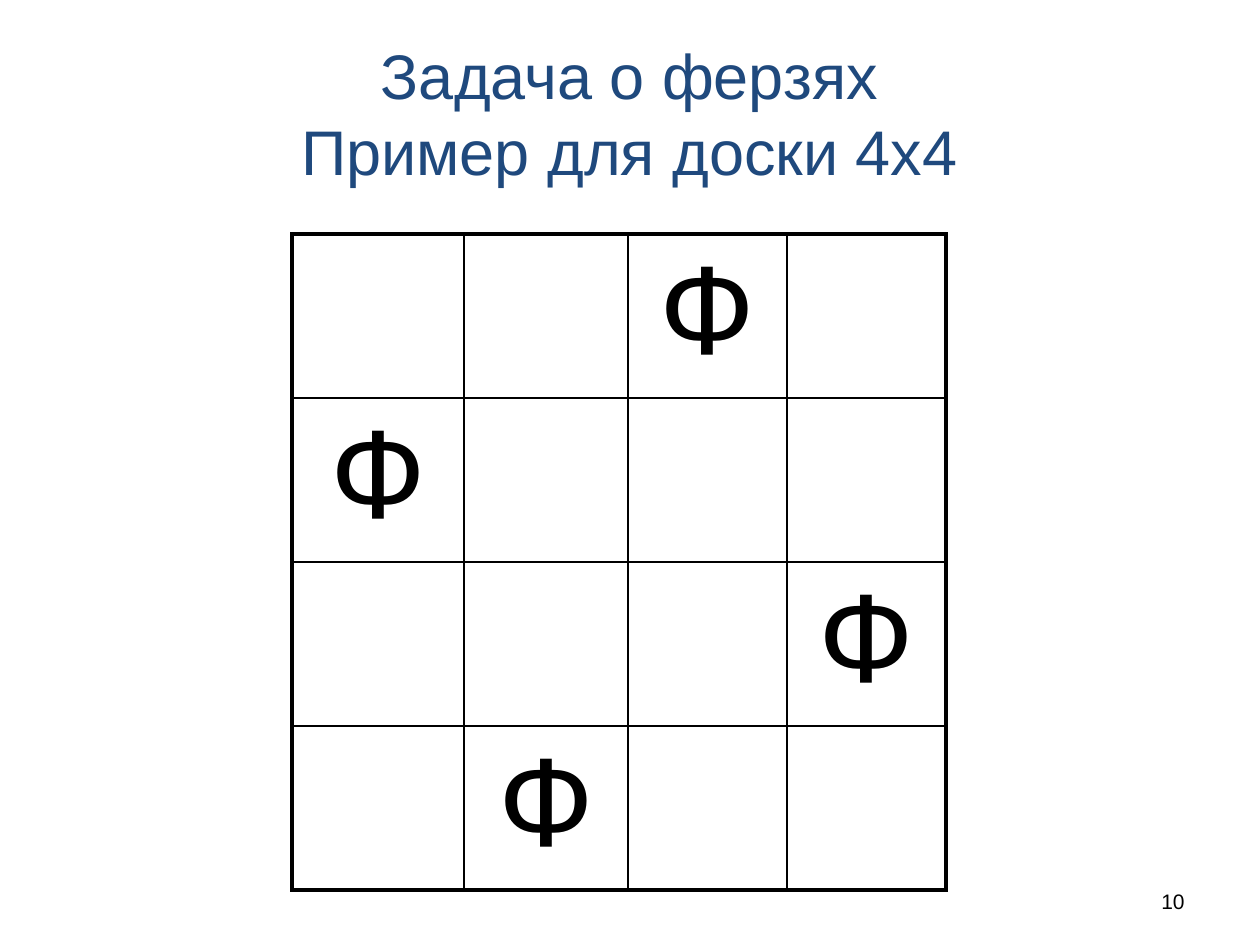
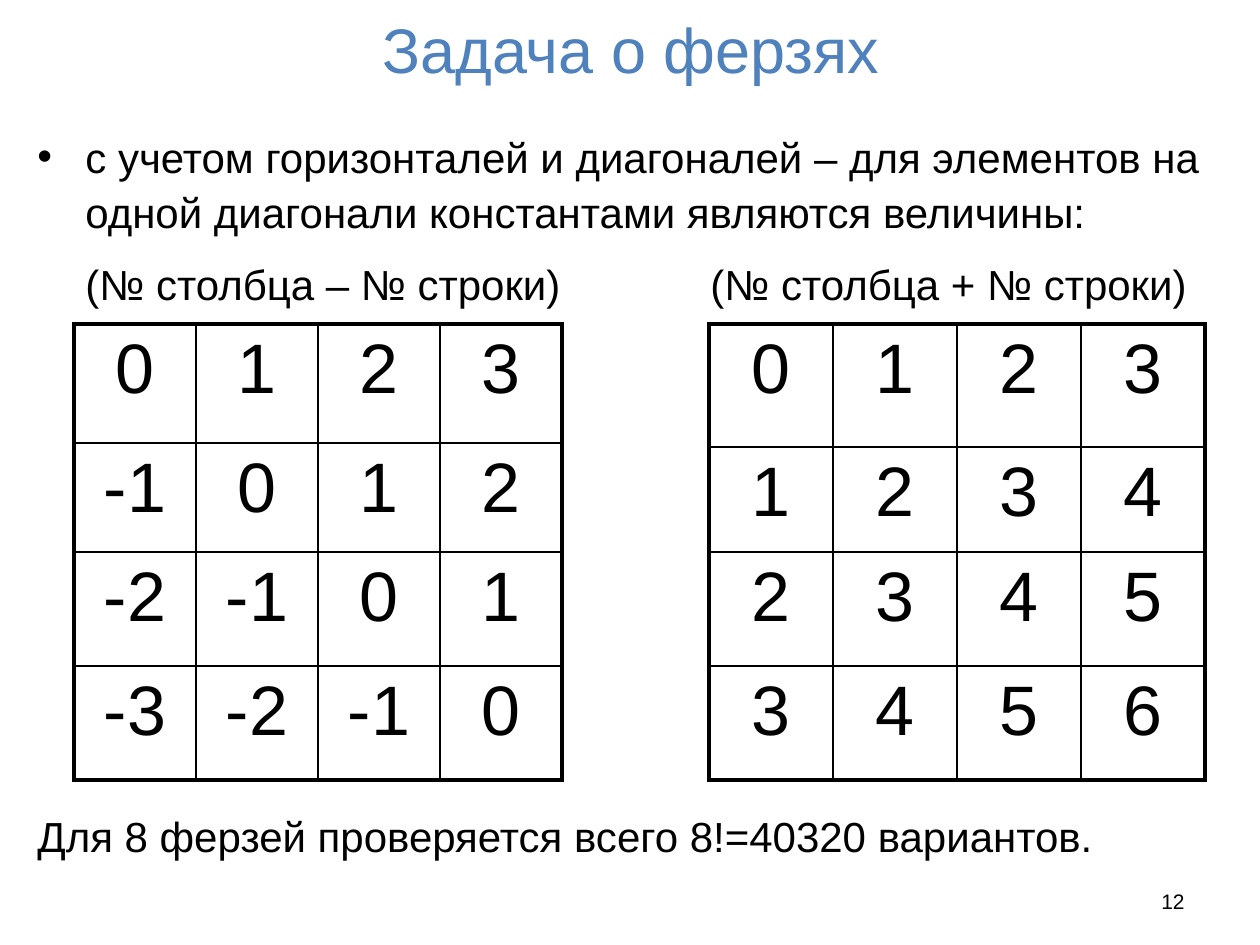
from lxml import etree
from pptx import Presentation
from pptx import util as u
from pptx.dml.color import RGBColor
from pptx.enum import text
from pptx.oxml.ns import qn

PIXELS_PER_INCH = 126
FONT = "Arial"
BLACK, NAVY, BLUE = "000000", "1F497D", "4F81BD"
TITLE_SIZE, BODY_SIZE, NUMBER_SIZE = 36, 24, 12
THICK, THIN = 2.25, 1
BULLET_INDENT = 48
NUMBER_BOX = (903, 876, 294, 50)
LEFT, CENTER, RIGHT = text.PP_ALIGN.LEFT, text.PP_ALIGN.CENTER, text.PP_ALIGN.RIGHT
TOP, MIDDLE = text.MSO_ANCHOR.TOP, text.MSO_ANCHOR.MIDDLE


def px(length):
    """Turn picture pixels into EMU."""
    return u.Emu(round(length * u.Inches(1) / PIXELS_PER_INCH))


def color(value):
    """Turn a hex string into a colour."""
    return RGBColor.from_string(value)


def write(frame, words, size=BODY_SIZE, ink=BLACK, align=LEFT, anchor=TOP,
          spacing=1.0, before=0):
    """Write one formatted paragraph; a newline in words is a line break."""
    frame.word_wrap = True
    frame.vertical_anchor = anchor
    paragraph = frame.paragraphs[0]
    paragraph.alignment = align
    paragraph.line_spacing = spacing
    paragraph.space_before = u.Pt(before)
    for index, line in enumerate(words.split("\n")):
        if index:
            paragraph.add_line_break()
        run = paragraph.add_run()
        run.text = line
        run.font.name = FONT
        run.font.size = u.Pt(size)
        run.font.color.rgb = color(ink)
    return paragraph


def add_text(slide, box, words, **style):
    """Add a text box that fills the given box."""
    shape = slide.shapes.add_textbox(*map(px, box))
    return write(shape.text_frame, words, **style)


def add_bullet(paragraph):
    """Give a paragraph a round bullet with a hanging indent."""
    properties = paragraph._p.get_or_add_pPr()
    properties.set("marL", str(px(BULLET_INDENT)))
    properties.set("indent", str(-px(BULLET_INDENT)))
    etree.SubElement(properties, qn("a:buFont"), typeface=FONT)
    etree.SubElement(properties, qn("a:buChar"), char="•")


def add_slide(presentation, box, title, number, **style):
    """Add a slide with its title in the given box and its number."""
    slide = presentation.slides.add_slide(presentation.slide_layouts[5])
    shape = slide.shapes.title
    shape.left, shape.top, shape.width, shape.height = map(px, box)
    shape.text_frame.auto_size = text.MSO_AUTO_SIZE.NONE
    write(shape.text_frame, title, size=TITLE_SIZE, align=CENTER, anchor=MIDDLE, **style)
    add_text(slide, NUMBER_BOX, number, size=NUMBER_SIZE, align=RIGHT, anchor=MIDDLE)
    return slide


def add_borders(cell, widths):
    """Draw the left, right, top and bottom borders of a cell."""
    properties = cell._tc.get_or_add_tcPr()
    for index, (side, width) in enumerate(zip("LRTB", widths)):
        line = etree.Element(qn("a:ln" + side), w=str(u.Pt(width)))
        fill = etree.SubElement(line, qn("a:solidFill"))
        etree.SubElement(fill, qn("a:srgbClr"), val=BLACK)
        properties.insert(index, line)


def add_board(slide, left, top, columns, rows, values, size):
    """Add a chessboard table with a thick frame and thin inner lines."""
    frame = slide.shapes.add_table(len(rows), len(columns), px(left), px(top),
                                   px(sum(columns)), px(sum(rows)))
    table = frame.table
    table.first_row = table.horz_banding = False
    for column, width in zip(table.columns, columns):
        column.width = px(width)
    for row, height in zip(table.rows, rows):
        row.height = px(height)
    last_row, last_column = len(rows) - 1, len(columns) - 1
    for i, line in enumerate(values):
        for j, value in enumerate(line):
            cell = table.cell(i, j)
            cell.fill.background()
            on_frame = (j == 0, j == last_column, i == 0, i == last_row)
            add_borders(cell, [THICK if edge else THIN for edge in on_frame])
            if value != "":
                write(cell.text_frame, str(value), size=size, align=CENTER)


def build_queens_slide(presentation):
    """Build the slide with four queens placed on a 4x4 board."""
    slide = add_slide(presentation, (64, 0, 1131, 224),
                      "Задача о ферзях\nПример для доски 4x4", "10", ink=NAVY, before=12)
    queen_columns = (2, 0, 3, 1)
    values = [["Ф" if j == queen else "" for j in range(4)] for queen in queen_columns]
    add_board(slide, 292, 234, (172, 164, 159, 159), [164] * 4, values, 72)


def build_diagonals_slide(presentation):
    """Build the slide with the constants of both diagonal directions."""
    slide = add_slide(presentation, (64, 0, 1134, 96), "Задача о ферзях", "12", ink=BLUE)
    add_bullet(add_text(
        slide, (25, 120, 1221, 124),
        "с учетом горизонталей и диагоналей – для элементов на одной диагонали "
        "константами являются величины:", spacing=1.1))
    boards = (
        ("–", 73, 74, 122, (119, 109, 114, 114), -1),
        ("+", 698, 709, 124, (123, 105, 114, 114), 1),
    )
    for sign, caption_left, left, width, rows, step in boards:
        add_text(slide, (caption_left, 252, 520, 60), f"(№ столбца {sign} № строки)")
        values = [[j + step * i for j in range(4)] for i in range(4)]
        add_board(slide, left, 324, [width] * 4, rows, values, 40)
    add_text(slide, (25, 804, 1221, 60), "Для 8 ферзей проверяется всего 8!=40320 вариантов.")


def main():
    """Build and save the presentation."""
    presentation = Presentation()
    presentation.slide_width, presentation.slide_height = px(1260), px(945)
    build_queens_slide(presentation)
    build_diagonals_slide(presentation)
    presentation.save("out.pptx")


main()
